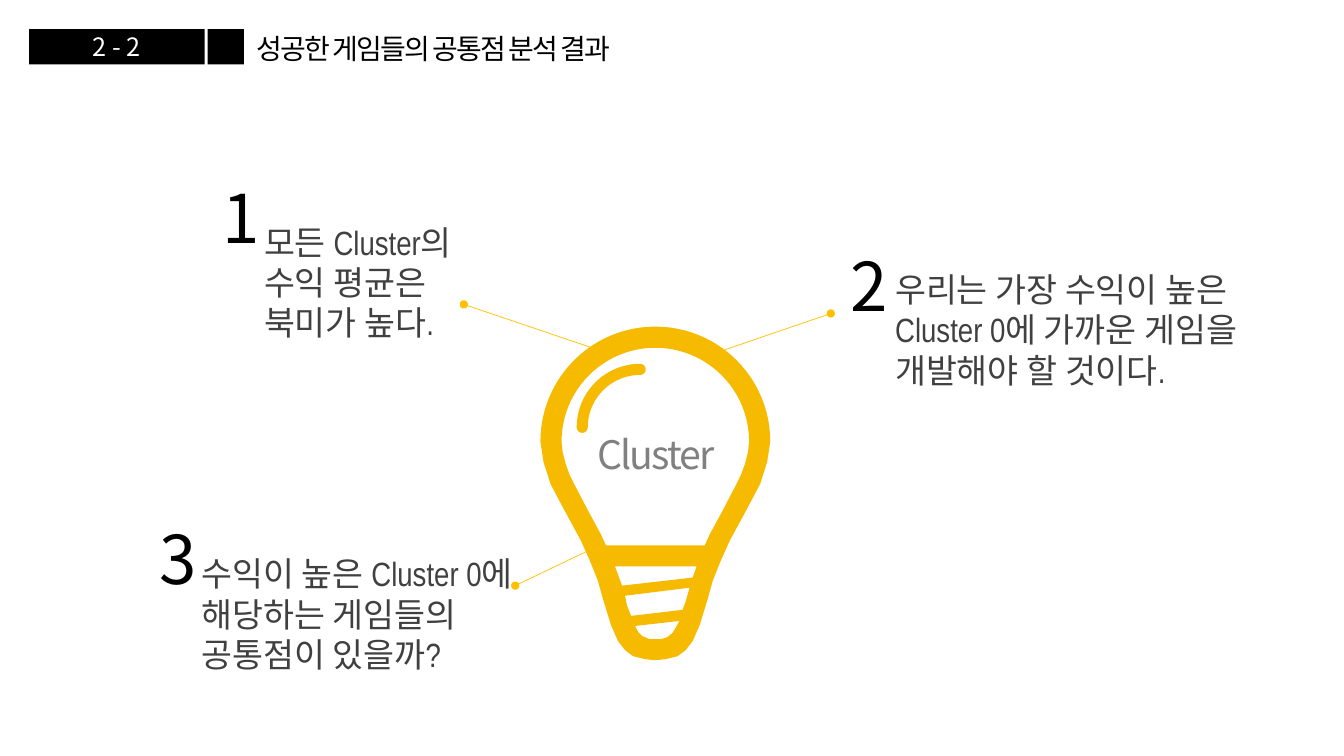
from math import cos, radians, sin
from lxml.etree import SubElement
from pptx import Presentation
from pptx.dml.color import RGBColor
from pptx.enum.shapes import MSO_CONNECTOR, MSO_SHAPE
from pptx.enum.text import MSO_ANCHOR, MSO_AUTO_SIZE, PP_ALIGN
from pptx.oxml.ns import qn
from pptx.util import Inches, Pt

NOTO = "Noto Sans CJK KR"
MID = 6.5  # the bulb is symmetric about this x

deck = Presentation()
deck.slide_width, deck.slide_height = Inches(13.33), Inches(7.5)
slide = deck.slides.add_slide(deck.slide_layouts[6])
shapes = slide.shapes


def style(frame, size, name, color, space=0):
    """Format every run; space is the letter spacing in points."""
    for para in frame.paragraphs:
        for run in para.runs:
            font = run.font
            font.size, font.name = Pt(size), name
            font.color.rgb = RGBColor.from_string(color)
            props = run._r.get_or_add_rPr()
            SubElement(props, qn("a:ea"), typeface=name)
            if space:
                props.set("spc", str(round(space * 100)))


def arc(x, y, r, start, stop, steps=24):
    """Points on a circle, with angles in degrees clockwise from the right."""
    turns = [radians(start + (stop - start) * i / steps) for i in range(steps + 1)]
    return [(x + r * cos(t), y + r * sin(t)) for t in turns]


# Bulb: right-hand outlines, mirrored to the left
outer = [(7.61, 4.58), (7.54, 4.8), (7.43, 5.01), (7.24, 5.36), (7.15, 5.56),
         (7.07, 5.76), (7.02, 5.94), (6.94, 6.2), (6.87, 6.36), (6.8, 6.45),
         (6.72, 6.51), (6.6, 6.54), (6.5, 6.55)]
inner = [(7.42, 4.48), (7.39, 4.6), (7.35, 4.71), (7.29, 4.83), (7.16, 5.08),
         (7.04, 5.3), (6.99, 5.41)]
rings = []
for radius, side in ((1.14, outer), (0.93, inner)):
    left = [(2 * MID - x, y) for x, y in reversed(side)]
    rings.append(arc(MID, 4.38, radius, 180, 360, 48) + side + left)
rings += [
    [(6.1, 5.62), (6.17, 5.81), (6.87, 5.73), (6.91, 5.62)],
    [(6.84, 5.83), (6.2, 5.91), (6.22, 6.01), (6.26, 6.11), (6.77, 6.05), (6.8, 5.97)],
    [(6.74, 6.16), (6.3, 6.21), (6.33, 6.27), (6.37, 6.31), (6.44, 6.34),
     (6.56, 6.34), (6.62, 6.32), (6.67, 6.28), (6.7, 6.23)],
]
shine = (arc(6.35, 4.24, 0.63, 180, 270) + arc(6.35, 3.665, 0.055, -90, 90, 8)
         + arc(6.35, 4.24, 0.52, 270, 180) + arc(5.775, 4.24, 0.055, 0, 180, 8))

for group in (rings, [shine]):
    build = None
    for ring in group:
        pts = [(Inches(x), Inches(y)) for x, y in ring]
        if build is None:
            build = shapes.build_freeform(*pts[0])
        else:
            build.move_to(*pts[0])
        build.add_line_segments(pts[1:], close=True)
    part = build.convert_to_shape()
    part.shadow.inherit = False
    part.fill.solid()
    part.fill.fore_color.rgb = RGBColor.from_string("F6BB00")
    part.line.fill.background()

# Rays from the bulb to the notes
for x1, y1, x2, y2 in ((7.19, 3.47, 8.24, 3.11), (5.93, 3.47, 4.6, 3.02),
                       (5.82, 5.47, 5.11, 5.81)):
    ray = shapes.add_connector(MSO_CONNECTOR.STRAIGHT, Inches(x1), Inches(y1),
                               Inches(x2), Inches(y2))
    ray.line.color.rgb = RGBColor.from_string("FFC000")
    ray.line.width = Pt(0.5)
    SubElement(ray.line._get_or_add_ln(), qn("a:tailEnd"), type="oval")
    SubElement(ray._element.spPr, qn("a:effectLst"))

# Header bars
for x, width, label in ((0.29, 1.74, "2 - 2"), (2.06, 0.36, "")):
    bar = shapes.add_shape(MSO_SHAPE.RECTANGLE, Inches(x), Inches(0.29),
                           Inches(width), Inches(0.35))
    bar.shadow.inherit = False
    bar.fill.solid()
    bar.fill.fore_color.rgb = RGBColor.from_string("000000")
    bar.line.fill.background()
    if label:
        frame = bar.text_frame
        frame.text = label
        frame.vertical_anchor = MSO_ANCHOR.MIDDLE
        frame.paragraphs[0].alignment = PP_ALIGN.CENTER
        style(frame, 18, NOTO, "FFFFFF")

# Text: left, top, width, height, wording, wrap, alignment, look
note = (24, "Arial Narrow", "404040")
digit = (48, NOTO, "000000", -2.9)
texts = [
    (5.62, 4.22, 1.77, 0.57, "Cluster", True, PP_ALIGN.CENTER, (28, NOTO, "808080", -1.4)),
    (2.45, 0.26, 5.6, 0.44, "성공한 게임들의 공통점 분석 결과", True, PP_ALIGN.LEFT,
     (20, NOTO, "000000", -1.4)),
    (2.52, 2.15, 2.69, 1.31, "모든 Cluster의 수익 평균은 북미가 높다.", True, PP_ALIGN.LEFT, note),
    (8.78, 2.62, 4.35, 1.31,
     "우리는 가장 수익이 높은\nCluster 0에 가까운 게임을\n개발해야 할 것이다.", True, PP_ALIGN.LEFT, note),
    (1.9, 5.44, 3.71, 1.31, "수익이 높은 Cluster 0에 해당하는 게임들의 공통점이 있을까?",
     True, PP_ALIGN.LEFT, note),
    (2.11, 1.7, 0.54, 0.91, "1", False, PP_ALIGN.LEFT, digit),
    (8.34, 2.37, 0.54, 0.91, "2", False, PP_ALIGN.LEFT, digit),
    (1.48, 5.08, 0.54, 0.91, "3", False, PP_ALIGN.LEFT, digit),
]
for x, y, width, height, words, wrap, align, look in texts:
    box = shapes.add_textbox(Inches(x), Inches(y), Inches(width), Inches(height))
    frame = box.text_frame
    frame.text = words
    frame.word_wrap = wrap
    frame.auto_size = MSO_AUTO_SIZE.SHAPE_TO_FIT_TEXT
    for para in frame.paragraphs:
        para.alignment = align
    style(frame, *look)

deck.save("out.pptx")
